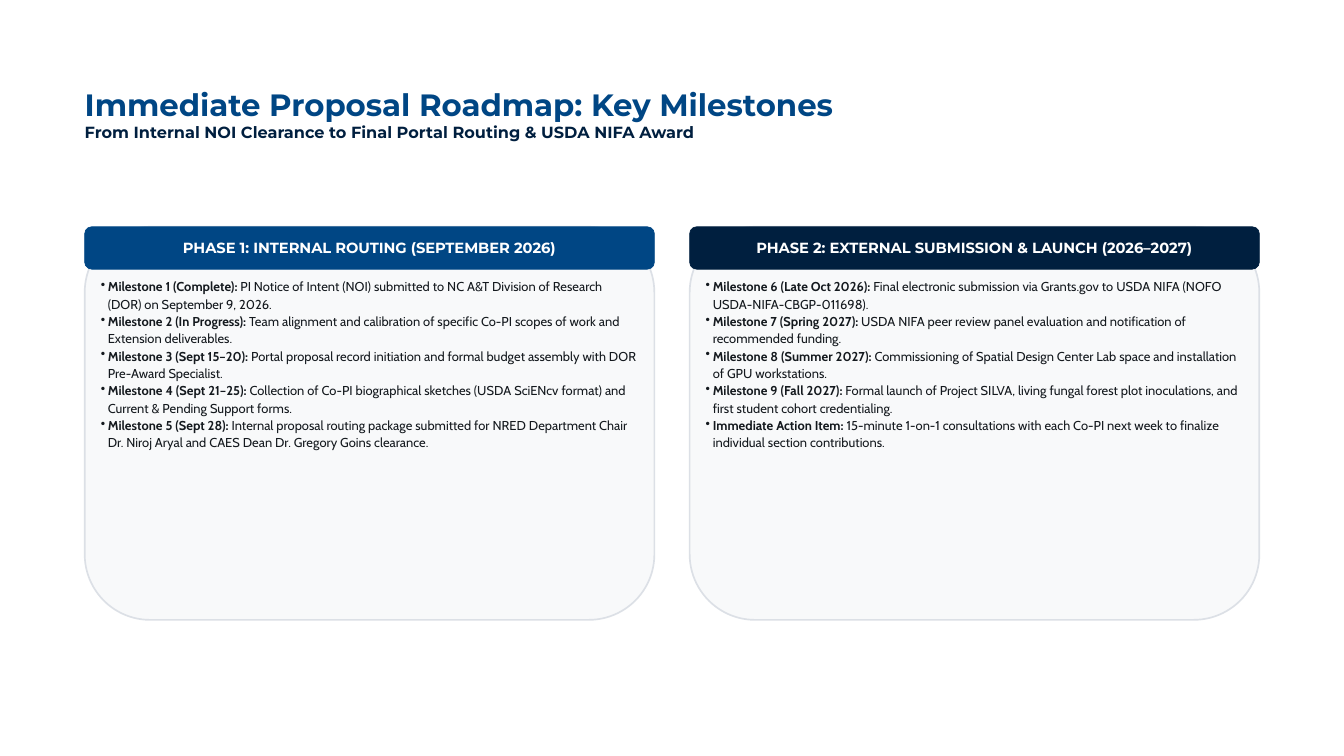
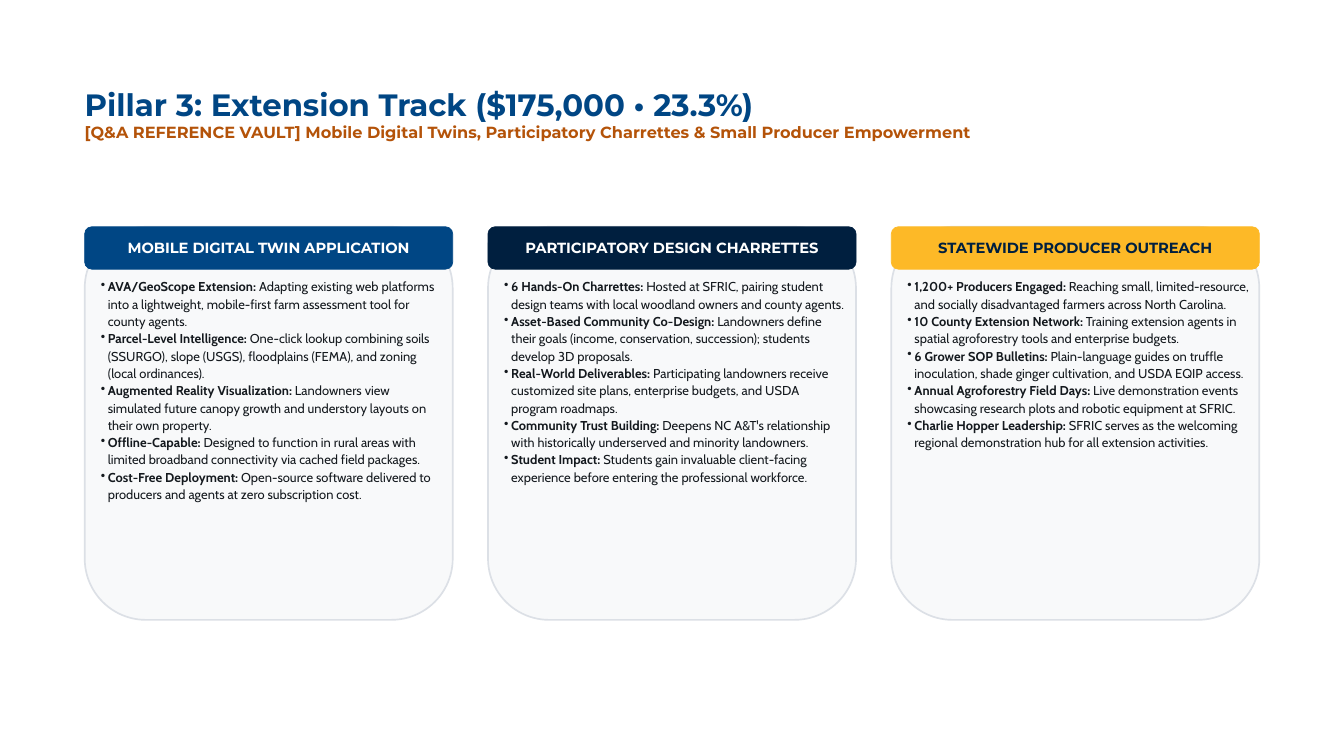
from dataclasses import dataclass

from lxml.etree import SubElement
from pptx import Presentation
from pptx.dml.color import RGBColor as RGB
from pptx.enum.shapes import MSO_SHAPE as Shape
from pptx.enum.text import MSO_ANCHOR as Anchor, MSO_AUTO_SIZE as AutoSize, PP_ALIGN as Align
from pptx.oxml.ns import qn
from pptx.util import Inches, Pt


@dataclass(frozen=True)
class Theme:
    blue: str = "004684"
    navy: str = "001F3F"
    gold: str = "FDB927"
    rust: str = "B45309"
    white: str = "FFFFFF"
    ink: str = "14191E"
    panel: str = "F8F9FA"
    border: str = "DCE0E6"
    heading: str = "Montserrat"
    body: str = "Cabin"
    title_size: float = 22
    subtitle_size: float = 11.5
    header_size: float = 10.5
    body_size: float = 9.2


T = Theme()
LEFT, WIDTH, GAP = 0.84, 11.65, 0.35
TITLE_TOP, TITLE_H = 0.85, 1.15
CARD_TOP, CARD_H, HEADER_H = 2.25, 3.9, 0.42
BODY_TOP, BODY_H, PAD, HANG = 2.75, 3.34, 0.16, 0.07
RIGHT_PAD = {2: 0.16, 3: 0.1}

NO_INSETS = {"margin_left": 0, "margin_top": 0, "margin_right": 0, "margin_bottom": 0}
TOP_TEXT = {"word_wrap": True, "auto_size": AutoSize.NONE,
            "vertical_anchor": Anchor.TOP, **NO_INSETS}
HEADER_TEXT = {"word_wrap": True, "vertical_anchor": Anchor.MIDDLE}

SLIDES = [
    {
        "title": "Immediate Proposal Roadmap: Key Milestones",
        "subtitle": "From Internal NOI Clearance to Final Portal Routing & USDA NIFA Award",
        "accent": T.navy,
        "cards": [
            ("PHASE 1: INTERNAL ROUTING (SEPTEMBER 2026)", T.blue, T.white, [
                ("Milestone 1 (Complete):", "PI Notice of Intent (NOI) submitted to NC A&T Division of Research (DOR) on September 9, 2026."),
                ("Milestone 2 (In Progress):", "Team alignment and calibration of specific Co-PI scopes of work and Extension deliverables."),
                ("Milestone 3 (Sept 15–20):", "Portal proposal record initiation and formal budget assembly with DOR Pre-Award Specialist."),
                ("Milestone 4 (Sept 21–25):", "Collection of Co-PI biographical sketches (USDA SciENcv format) and Current & Pending Support forms."),
                ("Milestone 5 (Sept 28):", "Internal proposal routing package submitted for NRED Department Chair Dr. Niroj Aryal and CAES Dean Dr. Gregory Goins clearance."),
            ]),
            ("PHASE 2: EXTERNAL SUBMISSION & LAUNCH (2026–2027)", T.navy, T.white, [
                ("Milestone 6 (Late Oct 2026):", "Final electronic submission via Grants.gov to USDA NIFA (NOFO USDA-NIFA-CBGP-011698)."),
                ("Milestone 7 (Spring 2027):", "USDA NIFA peer review panel evaluation and notification of recommended funding."),
                ("Milestone 8 (Summer 2027):", "Commissioning of Spatial Design Center Lab space and installation of GPU workstations."),
                ("Milestone 9 (Fall 2027):", "Formal launch of Project SILVA, living fungal forest plot inoculations, and first student cohort credentialing."),
                ("Immediate Action Item:", "15-minute 1-on-1 consultations with each Co-PI next week to finalize individual section contributions."),
            ]),
        ],
    },
    {
        "title": "Pillar 3: Extension Track ($175,000 • 23.3%)",
        "subtitle": "[Q&A REFERENCE VAULT] Mobile Digital Twins, Participatory Charrettes & Small Producer Empowerment",
        "accent": T.rust,
        "cards": [
            ("MOBILE DIGITAL TWIN APPLICATION", T.blue, T.white, [
                ("AVA/GeoScope Extension:", "Adapting existing web platforms into a lightweight, mobile-first farm assessment tool for county agents."),
                ("Parcel-Level Intelligence:", "One-click lookup combining soils (SSURGO), slope (USGS), floodplains (FEMA), and zoning (local ordinances)."),
                ("Augmented Reality Visualization:", "Landowners view simulated future canopy growth and understory layouts on their own property."),
                ("Offline-Capable:", "Designed to function in rural areas with limited broadband connectivity via cached field packages."),
                ("Cost-Free Deployment:", "Open-source software delivered to producers and agents at zero subscription cost."),
            ]),
            ("PARTICIPATORY DESIGN CHARRETTES", T.navy, T.white, [
                ("6 Hands-On Charrettes:", "Hosted at SFRIC, pairing student design teams with local woodland owners and county agents."),
                ("Asset-Based Community Co-Design:", "Landowners define their goals (income, conservation, succession); students develop 3D proposals."),
                ("Real-World Deliverables:", "Participating landowners receive customized site plans, enterprise budgets, and USDA program roadmaps."),
                ("Community Trust Building:", "Deepens NC A&T's relationship with historically underserved and minority landowners."),
                ("Student Impact:", "Students gain invaluable client-facing experience before entering the professional workforce."),
            ]),
            ("STATEWIDE PRODUCER OUTREACH", T.gold, T.navy, [
                ("1,200+ Producers Engaged:", "Reaching small, limited-resource, and socially disadvantaged farmers across North Carolina."),
                ("10 County Extension Network:", "Training extension agents in spatial agroforestry tools and enterprise budgets."),
                ("6 Grower SOP Bulletins:", "Plain-language guides on truffle inoculation, shade ginger cultivation, and USDA EQIP access."),
                ("Annual Agroforestry Field Days:", "Live demonstration events showcasing research plots and robotic equipment at SFRIC."),
                ("Charlie Hopper Leadership:", "SFRIC serves as the welcoming regional demonstration hub for all extension activities."),
            ]),
        ],
    },
]


def apply(obj, values):
    for name, value in values.items():
        setattr(obj, name, value)


def add_run(p, text, font, size, color, bold=True):
    r = p.add_run()
    r.text = text
    apply(r.font, {"name": font, "size": Pt(size), "bold": bold})
    r.font.color.rgb = RGB.from_string(color)


def set_bullet(p):
    pPr = p._p.get_or_add_pPr()
    pPr.set("marL", str(Inches(HANG)))
    pPr.set("indent", str(-Inches(HANG)))
    SubElement(pPr, qn("a:buChar")).set("char", "•")


def add_title(s, title, subtitle, accent):
    sp = s.shapes.title
    apply(sp, {"left": Inches(LEFT), "top": Inches(TITLE_TOP),
               "width": Inches(WIDTH), "height": Inches(TITLE_H)})
    tf = sp.text_frame
    apply(tf, TOP_TEXT)
    lines = [(title, T.title_size, T.blue), (subtitle, T.subtitle_size, accent)]
    for i, (text, size, color) in enumerate(lines):
        p = tf.add_paragraph() if i else tf.paragraphs[0]
        apply(p, {"alignment": Align.LEFT, "space_before": Pt(0), "line_spacing": 1.0})
        add_run(p, text, T.heading, size, color)


def add_round_rect(s, x, w, h, fill, line, line_width):
    sp = s.shapes.add_shape(Shape.ROUNDED_RECTANGLE, Inches(x), Inches(CARD_TOP),
                            Inches(w), Inches(h))
    sp.shadow.inherit = False
    sp.fill.solid()
    sp.fill.fore_color.rgb = RGB.from_string(fill)
    sp.line.color.rgb = RGB.from_string(line)
    sp.line.width = Pt(line_width)
    return sp


def add_header(s, x, w, text, fill, color):
    tf = add_round_rect(s, x, w, HEADER_H, fill, fill, 0.5).text_frame
    apply(tf, HEADER_TEXT)
    p = tf.paragraphs[0]
    p.alignment = Align.CENTER
    add_run(p, text, T.heading, T.header_size, color)


def add_bullets(s, x, w, items):
    tf = s.shapes.add_textbox(Inches(x), Inches(BODY_TOP), Inches(w), Inches(BODY_H)).text_frame
    apply(tf, TOP_TEXT)
    for i, (label, detail) in enumerate(items):
        p = tf.add_paragraph() if i else tf.paragraphs[0]
        set_bullet(p)
        p.line_spacing = 1.12
        add_run(p, label, T.body, T.body_size, T.ink)
        add_run(p, f" {detail}", T.body, T.body_size, T.ink, bold=False)


def add_cards(s, cards):
    n = len(cards)
    w = (WIDTH - GAP * (n - 1)) / n
    for i, (header, fill, color, items) in enumerate(cards):
        x = LEFT + i * (w + GAP)
        add_round_rect(s, x, w, CARD_H, T.panel, T.border, 1.2)
        add_header(s, x, w, header, fill, color)
        add_bullets(s, x + PAD, w - PAD - RIGHT_PAD[n], items)


def main():
    prs = Presentation()
    apply(prs, {"slide_width": Inches(13.33), "slide_height": Inches(7.5)})
    for content in SLIDES:
        s = prs.slides.add_slide(prs.slide_layouts[5])
        add_title(s, content["title"], content["subtitle"], content["accent"])
        add_cards(s, content["cards"])
    prs.save("out.pptx")


if __name__ == "__main__":
    main()
